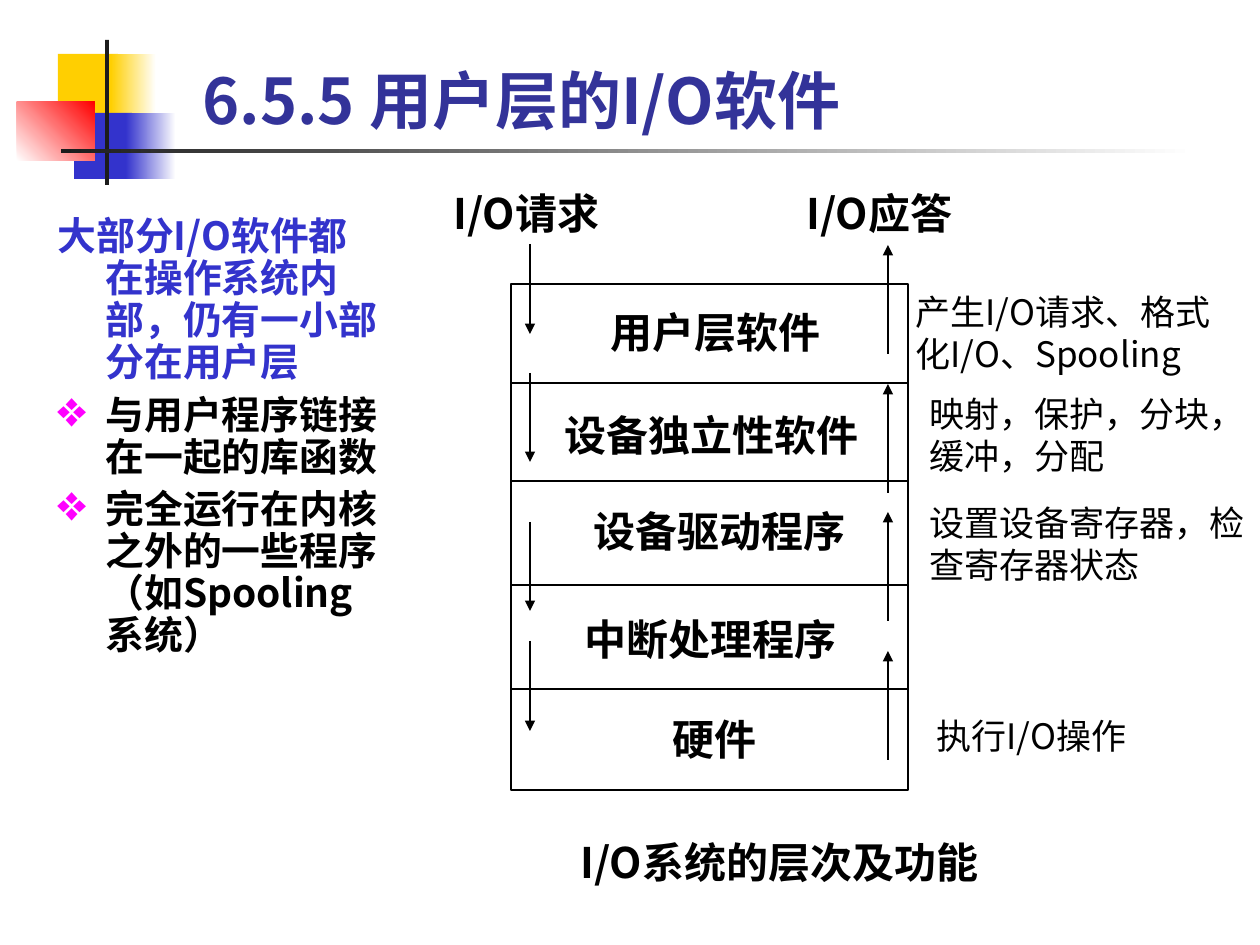
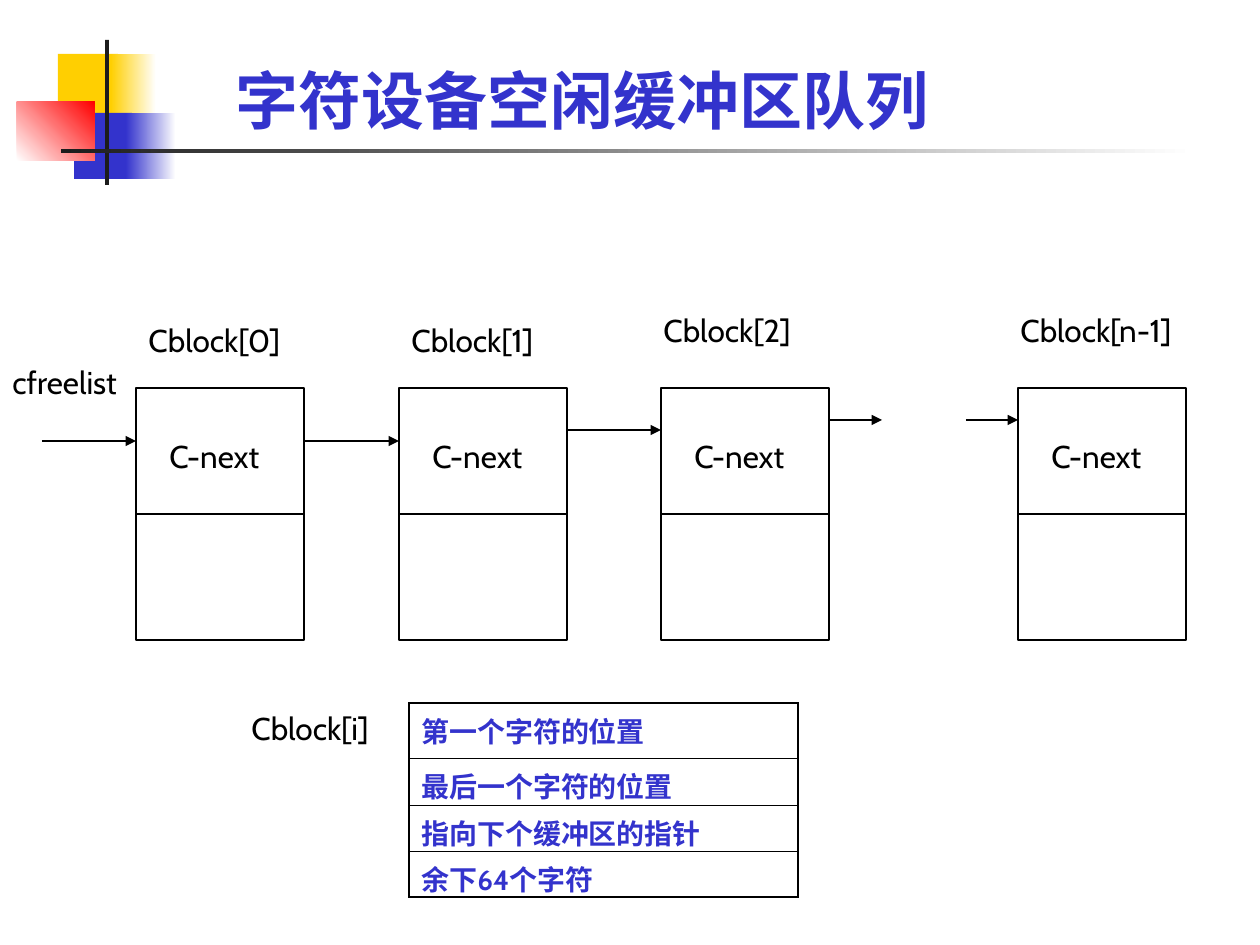
from lxml import etree
from pptx import Presentation
from pptx.dml.color import RGBColor
from pptx.enum import shapes, text
from pptx.oxml.ns import qn
from pptx.util import Emu, Pt

PX = 914400 / 126
CJK, LATIN = "Noto Sans CJK SC", "Cabin"
BLACK, WHITE, DARK = "000000", "FFFFFF", "1C1C1C"
BLUE, NAVY, YELLOW, RED, PINK = "3333CC", "333399", "FFCF01", "FF0000", "FF00FF"
RECT = shapes.MSO_SHAPE.RECTANGLE


def px(n):
    return Emu(round(n * PX))


def rgb(color):
    return RGBColor.from_string(color)


def add_xml(parent, tag, **attrs):
    return etree.SubElement(parent, qn(tag), attrs)


def style(p, size, color=BLACK, bold=False, font=CJK):
    """Set the paragraph font, with a Chinese face beside the Latin one."""
    f = p.font
    f.size, f.bold, f.name = Pt(size), bold, font
    f.color.rgb = rgb(color)
    latin = f._element.find(qn("a:latin"))
    latin.addnext(latin.makeelement(qn("a:ea"), {"typeface": CJK}))


def add_box(s, x, y, w, h, fill=None, line=None, preset=RECT):
    sp = s.shapes.add_shape(preset, px(x), px(y), px(w), px(h))
    sp.shadow.inherit = False
    if fill:
        sp.fill.solid()
        sp.fill.fore_color.rgb = rgb(fill)
    else:
        sp.fill.background()
    if line:
        sp.line.color.rgb = rgb(line)
        sp.line.width = Pt(0.75)
    else:
        sp.line.fill.background()
    return sp


def add_fade(s, x, y, w, h, start, end, angle=0):
    fill = add_box(s, x, y, w, h).fill
    fill.gradient()
    fill.gradient_angle = angle
    for stop, color, position in zip(fill.gradient_stops, (start, end), (0, 1)):
        stop.color.rgb = rgb(color)
        stop.position = position


def add_line(s, x1, y1, x2, y2, arrow=False):
    c = s.shapes.add_connector(shapes.MSO_CONNECTOR.STRAIGHT,
                               px(x1), px(y1), px(x2), px(y2))
    c.line.color.rgb = rgb(BLACK)
    c.line.width = Pt(0.75)
    if arrow:
        add_xml(c.line._get_or_add_ln(), "a:tailEnd", type="triangle")
    add_xml(c._element.spPr, "a:effectLst")


def add_text(s, x, y, w, h, lines, size, color=BLACK, bold=False, font=CJK):
    """Left-aligned lines; no right inset, so that each fits its width."""
    tf = s.shapes.add_textbox(px(x), px(y), px(w), px(h)).text_frame
    tf.word_wrap = False
    tf.margin_right = 0
    tf.text = lines
    for p in tf.paragraphs:
        style(p, size, color, bold, font)
    return tf


def add_title(s, x, w, title, color):
    tf = add_text(s, x, 45, w, 98, title, 36, color, True)
    tf.vertical_anchor = text.MSO_ANCHOR.BOTTOM


def add_body(s, x, y, w, h, items):
    """Hanging paragraphs: a blue lead, then bulleted black ones."""
    tf = s.shapes.add_textbox(px(x), px(y), px(w), px(h)).text_frame
    tf.word_wrap = True
    for i, item in enumerate(items):
        p = tf.add_paragraph() if i else tf.paragraphs[0]
        p.text = item
        pPr = p._p.get_or_add_pPr()
        pPr.set("marL", str(px(48)))
        pPr.set("indent", str(-px(48)))
        pPr.set("hangingPunct", "0")
        if i:
            add_xml(add_xml(pPr, "a:buClr"), "a:srgbClr", val=PINK)
            add_xml(pPr, "a:buSzPct", val="130000")
            add_xml(pPr, "a:buChar", char="❖")
        else:
            add_xml(pPr, "a:buNone")
        p.line_spacing = 0.9
        p.space_before = Pt(6 if i else 0)
        style(p, 22.2, BLACK if i else BLUE, True)


def add_border(cell, side, width):
    ln = add_xml(cell._tc.get_or_add_tcPr(), f"a:ln{side}", w=str(Pt(width)))
    add_xml(add_xml(ln, "a:solidFill"), "a:srgbClr", val=BLACK)


def add_list_table(s, x, y, w, heights, rows):
    """One-column table with a heavier outer border."""
    table = s.shapes.add_table(len(rows), 1, px(x), px(y), px(w), px(sum(heights))).table
    table.first_row = table.horz_banding = False
    table.columns[0].width = px(w)
    last = len(rows) - 1
    for i, (height, row) in enumerate(zip(heights, rows)):
        table.rows[i].height = px(height)
        cell = table.cell(i, 0)
        cell.text = row
        cell.margin_top, cell.margin_bottom = px(7), 0
        style(cell.text_frame.paragraphs[0], 16, BLUE, True, LATIN)
        for side, outer in (("L", True), ("R", True), ("T", i == 0), ("B", i == last)):
            add_border(cell, side, 1.08 if outer else 0.45)
        cell.fill.background()


def new_slide(prs):
    """Blank slide with the coloured squares and the title rule."""
    s = prs.slides.add_slide(prs.slide_layouts[6])
    add_box(s, 58, 54, 60, 66, YELLOW)
    add_fade(s, 111, 54, 45, 66, YELLOW, WHITE)
    add_box(s, 74, 113, 58, 66, BLUE)
    add_fade(s, 126, 113, 50, 66, BLUE, WHITE)
    add_fade(s, 17, 102, 78, 59, WHITE, RED, 45)
    add_box(s, 105, 40, 4, 145, DARK)
    add_fade(s, 61, 149, 1134, 4, DARK, WHITE)
    return s


def io_layers_slide(prs):
    s = new_slide(prs)
    add_title(s, 190, 975, "6.5.5 用户层的I/O软件", NAVY)
    add_body(s, 45, 211, 347, 669, [
        "大部分I/O软件都在操作系统内部，仍有一小部分在用户层",
        "与用户程序链接在一起的库函数",
        "完全运行在内核之外的一些程序（如Spooling系统）",
    ])

    left, right = 511, 908
    add_box(s, left, 284, right - left, 506, line=BLACK)
    for y in (383, 481, 585, 689):
        add_line(s, left, y, right, y)
    for x, y, w, layer in (
        (598, 300, 234, "用户层软件"),
        (552, 403, 319, "设备独立性软件"),
        (581, 499, 277, "设备驱动程序"),
        (572, 607, 277, "中断处理程序"),
        (660, 707, 108, "硬件"),
    ):
        add_text(s, x, y, w, 63, layer, 24, bold=True, font=LATIN)

    for top, bottom in ((244, 334), (373, 462), (522, 611), (641, 731)):
        add_line(s, 530, top, 530, bottom, arrow=True)
    for bottom in (760, 621, 493, 354):
        add_line(s, 888, bottom, 888, bottom - 109, arrow=True)

    for x, y, w, label in (
        (441, 181, 195, "I/O请求"),
        (794, 181, 195, "I/O应答"),
        (568, 830, 447, "I/O系统的层次及功能"),
    ):
        add_text(s, x, y, w, 63, label, 24, bold=True)
    for x, y, w, h, duty in (
        (903, 284, 353, 97, "产生I/O请求、格式\n化I/O、Spooling"),
        (917, 386, 340, 97, "映射，保护，分块，\n缓冲，分配"),
        (917, 495, 340, 97, "设置设备寄存器，检\n查寄存器状态"),
        (924, 708, 246, 55, "执行I/O操作"),
    ):
        add_text(s, x, y, w, h, duty, 20)


def free_buffers_slide(prs):
    s = new_slide(prs)
    add_title(s, 223, 723, "字符设备空闲缓冲区队列", BLUE)

    width, top, height = 168, 388, 252
    middle = top + height // 2
    for x, label_x, label_y, label_w, index in (
        (136, 136, 315, 158, "0"),
        (399, 399, 315, 158, "1"),
        (661, 651, 305, 158, "2"),
        (1018, 1008, 305, 199, "n-1"),
    ):
        add_box(s, x, top, width, height, WHITE, BLACK,
                shapes.MSO_SHAPE.FLOWCHART_PROCESS)
        add_line(s, x, middle, x + width, middle)
        add_text(s, x + 21, 431, 136, 50, "C-next", 18, font=LATIN)
        add_text(s, label_x, label_y, label_w, 50, f"Cblock[{index}]", 18, font=LATIN)

    add_text(s, 0, 357, 158, 50, "cfreelist", 18, font=LATIN)
    for start, end, y in ((42, 136, 441), (305, 399, 441), (567, 661, 430),
                          (830, 882, 420), (966, 1018, 420)):
        add_line(s, start, y, end, y, arrow=True)

    add_text(s, 239, 703, 152, 50, "Cblock[i]", 18, font=LATIN)
    add_list_table(s, 409, 703, 389, (55, 47, 46, 46), [
        "第一个字符的位置",
        "最后一个字符的位置",
        "指向下个缓冲区的指针",
        "余下64个字符",
    ])


def main():
    prs = Presentation()
    prs.slide_width, prs.slide_height = px(1260), px(945)
    io_layers_slide(prs)
    free_buffers_slide(prs)
    prs.save("out.pptx")


if __name__ == "__main__":
    main()
